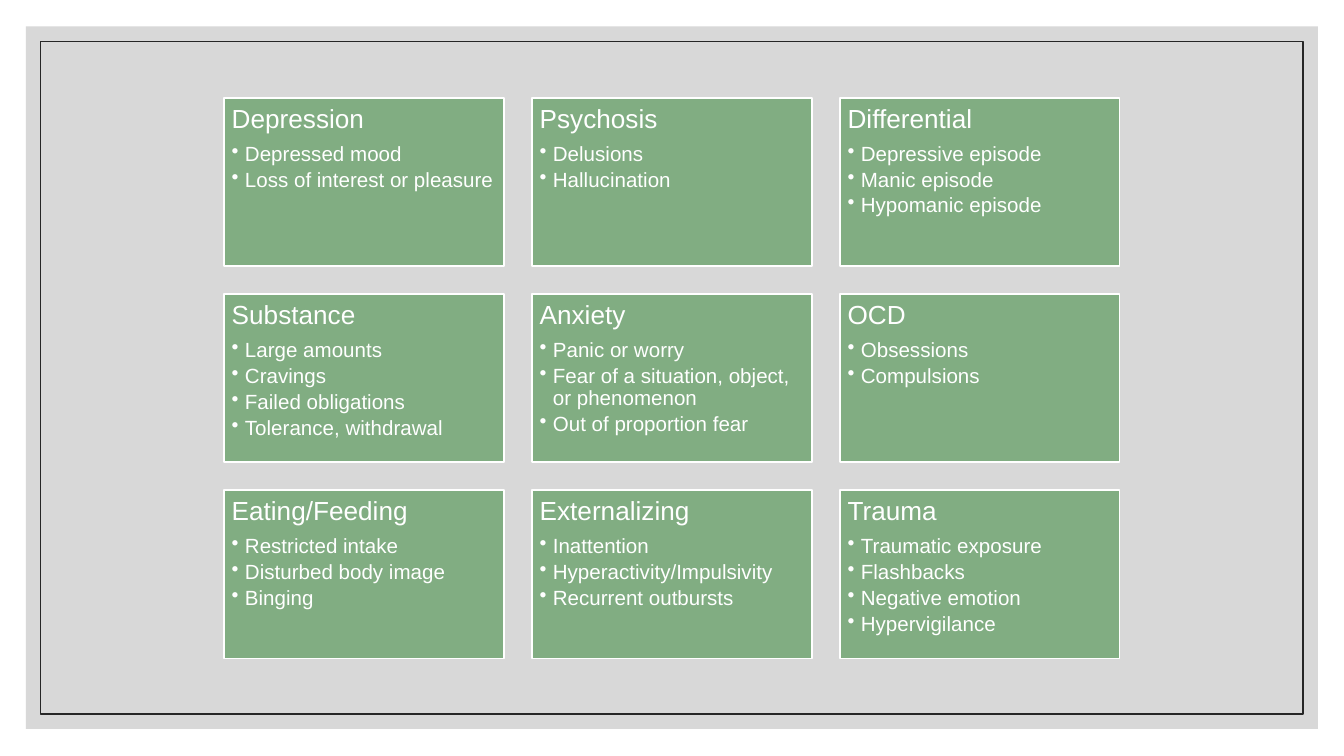
from dataclasses import dataclass

from lxml import etree
from pptx import Presentation
from pptx import util as u
from pptx.dml.color import RGBColor
from pptx.enum import shapes, text
from pptx.oxml.ns import qn


@dataclass(frozen=True)
class Theme:
    font: str = "Arial"
    heading_size: float = 14
    bullet_size: float = 11
    white: str = "FFFFFF"
    card: str = "81AD82"
    backdrop: str = "BFBFBF"
    frame: str = "262626"


CARDS = [
    ("Depression", ["Depressed mood", "Loss of interest or pleasure"]),
    ("Psychosis", ["Delusions", "Hallucination"]),
    ("Differential", ["Depressive episode", "Manic episode", "Hypomanic episode"]),
    ("Substance", ["Large amounts", "Cravings", "Failed obligations",
                   "Tolerance, withdrawal"]),
    ("Anxiety", ["Panic or worry", "Fear of a situation, object, or phenomenon",
                 "Out of proportion fear"]),
    ("OCD", ["Obsessions", "Compulsions"]),
    ("Eating/Feeding", ["Restricted intake", "Disturbed body image", "Binging"]),
    ("Externalizing", ["Inattention", "Hyperactivity/Impulsivity",
                       "Recurrent outbursts"]),
    ("Trauma", ["Traumatic exposure", "Flashbacks", "Negative emotion",
                "Hypervigilance"]),
]
COLUMNS = 3
LEFT, TOP = 4.23, 1.85
CARD_W, CARD_H = 5.29, 3.18
GAP = 0.53


class SlideBuilder:
    def __init__(self, s, theme):
        self.s = s
        self.theme = theme

    def rect(self, x, y, w, h, fill=None, line=None, weight=1, alpha=None):
        """Add a rectangle; lengths in cm, alpha as a percentage of opacity."""
        sp = self.s.shapes.add_shape(shapes.MSO_SHAPE.RECTANGLE,
                                     u.Cm(x), u.Cm(y), u.Cm(w), u.Cm(h))
        sp.shadow.inherit = False
        if fill:
            sp.fill.solid()
            sp.fill.fore_color.rgb = RGBColor.from_string(fill)
        else:
            sp.fill.background()
        if line:
            sp.line.color.rgb = RGBColor.from_string(line)
            sp.line.width = u.Pt(weight)
        else:
            sp.line.fill.background()
        if alpha is not None:
            color = sp.fill._xPr.find(".//" + qn("a:srgbClr"))
            etree.SubElement(color, qn("a:alpha"), val=str(alpha * 1000))
        return sp

    def paragraph(self, p, content, size, before=0):
        p.alignment = text.PP_ALIGN.LEFT
        p.line_spacing = 0.9
        p.space_before = u.Pt(before)
        r = p.add_run()
        r.text = content
        r.font.name = self.theme.font
        r.font.size = u.Pt(size)
        r.font.color.rgb = RGBColor.from_string(self.theme.white)

    def bullet(self, p, content, before):
        self.paragraph(p, content, self.theme.bullet_size, before)
        p.level = 1
        pPr = p._p.get_or_add_pPr()
        indent = u.Cm(0.25)
        pPr.set("marL", str(indent))
        pPr.set("indent", str(-indent))
        color = etree.SubElement(pPr, qn("a:buClr"))
        etree.SubElement(color, qn("a:srgbClr"), val=self.theme.white)
        etree.SubElement(pPr, qn("a:buChar"), char="•")

    def card(self, x, y, heading, items):
        sp = self.rect(x, y, CARD_W, CARD_H, self.theme.card, self.theme.white)
        tf = sp.text_frame
        tf.word_wrap = True
        tf.vertical_anchor = text.MSO_ANCHOR.TOP
        tf.margin_left = tf.margin_right = u.Cm(0.15)
        tf.margin_top = tf.margin_bottom = u.Cm(0.15)
        self.paragraph(tf.paragraphs[0], heading, self.theme.heading_size)
        for i, item in enumerate(items):
            self.bullet(tf.add_paragraph(), item, before=2 if i else 5)


def main():
    prs = Presentation()
    prs.slide_width, prs.slide_height = u.Cm(25.4), u.Cm(14.29)
    theme = Theme()
    builder = SlideBuilder(prs.slides.add_slide(prs.slide_layouts[6]), theme)

    builder.rect(0.49, 0.5, 24.42, 13.28, fill=theme.backdrop, alpha=60)
    builder.rect(0.77, 0.78, 23.86, 12.72, line=theme.frame, weight=0.75)
    for i, (heading, items) in enumerate(CARDS):
        row, column = divmod(i, COLUMNS)
        builder.card(LEFT + column * (CARD_W + GAP), TOP + row * (CARD_H + GAP),
                     heading, items)

    prs.save("out.pptx")


if __name__ == "__main__":
    main()
